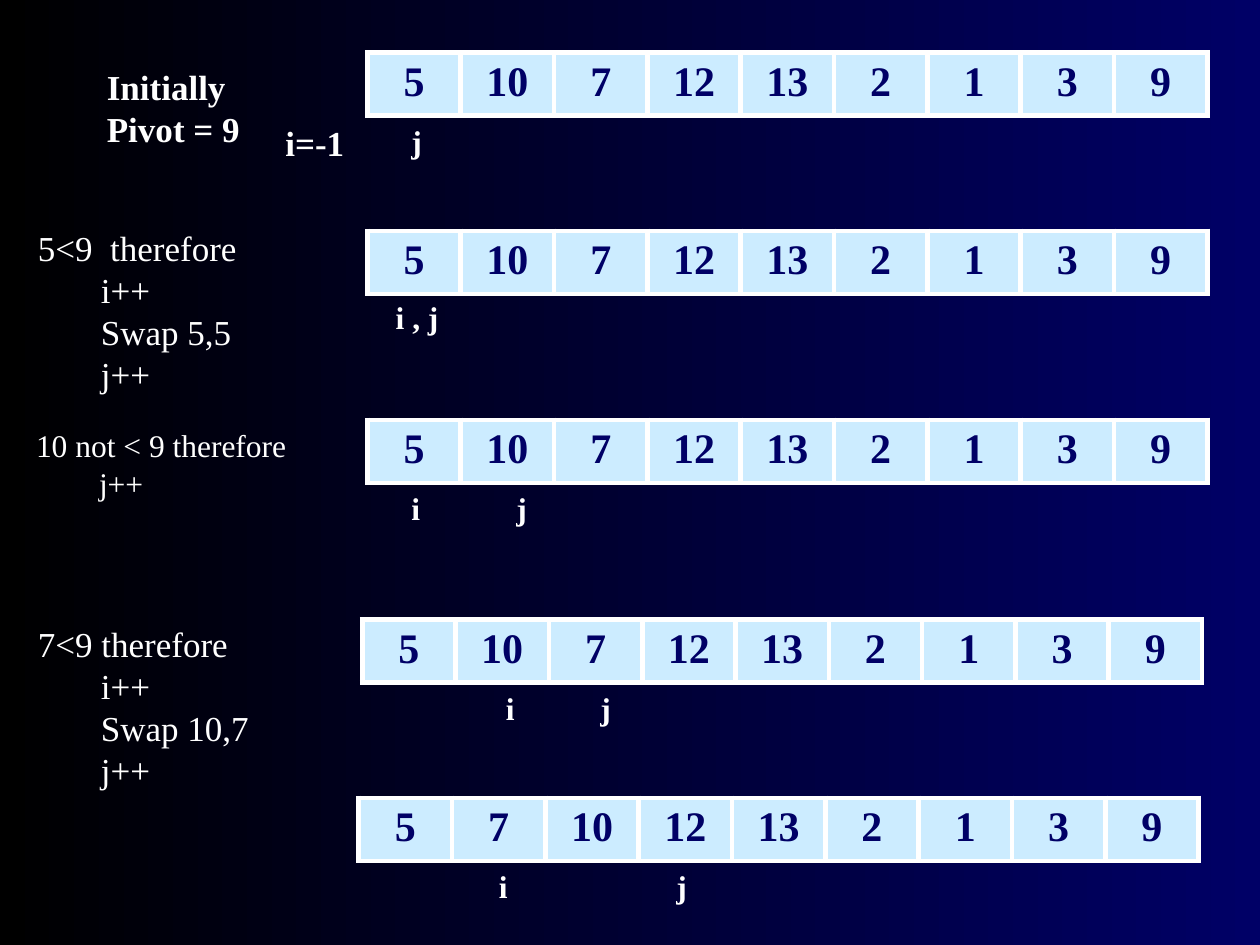
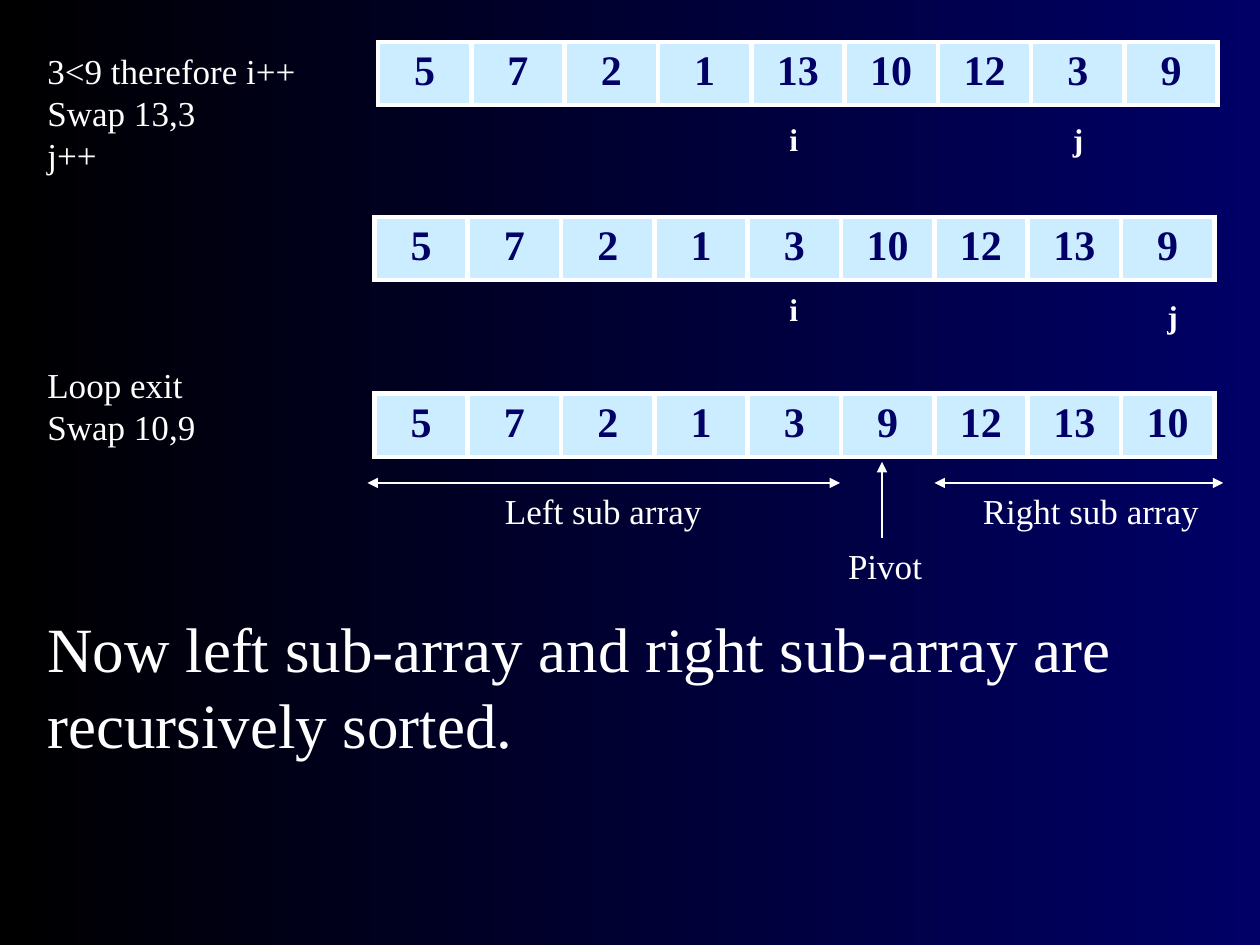
from lxml import etree
from pptx import Presentation
from pptx import util as u
from pptx.dml.color import RGBColor
from pptx.enum import shapes, text
from pptx.oxml import ns

Pt = u.Pt
COLORS = {"black": "000000", "navy": "000066", "ice": "CCECFF", "white": "FFFFFF"}
FONT = "Times New Roman"
ROW_W, ROW_H = 480, 36  # one array strip
START = [5, 10, 7, 12, 13, 2, 1, 3, 9]


def rgb(name):
    return RGBColor.from_string(COLORS[name])


def sub(parent, tag, **attrs):
    return etree.SubElement(parent, ns.qn(tag), attrs)


class Deck:
    def __init__(self, width, height):
        self.prs = Presentation()
        self.prs.slide_width, self.prs.slide_height = Pt(width), Pt(height)
        self.s = None

    def slide(self):
        self.s = self.prs.slides.add_slide(self.prs.slide_layouts[6])
        fill = self.s.background.fill
        fill.gradient()
        fill.gradient_angle = 0
        for stop, position, color in zip(fill.gradient_stops, (0, 1), ("black", "navy")):
            stop.position = position
            stop.color.rgb = rgb(color)

    def style(self, p, color="white", **formats):
        for key, value in {"name": FONT, **formats}.items():
            setattr(p.font, key, value)
        p.font.color.rgb = rgb(color)

    def text(self, x, y, w, h, lines, size=20, bold=False, wrap=False):
        sp = self.s.shapes.add_textbox(Pt(x), Pt(y), Pt(w), Pt(h))
        tf = sp.text_frame
        tf.word_wrap = wrap
        tf.auto_size = text.MSO_AUTO_SIZE.SHAPE_TO_FIT_TEXT
        tf.text = lines
        for p in tf.paragraphs:
            self.style(p, size=Pt(size), bold=bold)

    def marker(self, x, y, label, w=20):
        self.text(x, y, w, 29, label, size=18, bold=True)

    def array(self, x, y, values):
        table = self.s.shapes.add_table(
            1, len(values), Pt(x), Pt(y), Pt(ROW_W), Pt(ROW_H)).table
        table.first_row = table.horz_banding = False
        for column, cell, value in zip(table.columns, table.iter_cells(), values):
            column.width = Pt(ROW_W / len(values))
            cell.text = str(value)
            p = cell.text_frame.paragraphs[0]
            p.alignment = text.PP_ALIGN.CENTER
            self.style(p, "navy", size=Pt(24), bold=True)
            self.borders(cell)
            cell.fill.solid()
            cell.fill.fore_color.rgb = rgb("ice")

    def borders(self, cell):
        tc_pr = cell._tc.get_or_add_tcPr()
        for side in "LRTB":
            ln = sub(tc_pr, f"a:ln{side}", w=str(Pt(3)))
            sub(sub(ln, "a:solidFill"), "a:srgbClr", val=COLORS["white"])

    def arrow(self, x1, y1, x2, y2, ends=("tailEnd",)):
        c = self.s.shapes.add_connector(
            shapes.MSO_CONNECTOR.STRAIGHT, Pt(x1), Pt(y1), Pt(x2), Pt(y2))
        c.line.width = Pt(1.25)
        c.line.color.rgb = rgb("white")
        ln = c.line._get_or_add_ln()
        for end in ends:
            sub(ln, f"a:{end}", type="triangle")
        sub(c._element.spPr, "a:effectLst")


def first_steps(d):
    d.slide()
    # Arrays after each step
    for x, y in ((210, 30), (210, 132), (210, 240), (207, 354)):
        d.array(x, y, START)
    d.array(205, 456, [5, 7, 10, 12, 13, 2, 1, 3, 9])

    # Index markers
    d.marker(219, 167, "i , j", w=40)
    for x, y, label in ((228, 66, "j"),
                        (228, 276, "i"), (288, 276, "j"),
                        (282, 390, "i"), (336, 390, "j"),
                        (278, 492, "i"), (379.5, 492, "j")):
        d.marker(x, y, label)

    # Explanations
    d.text(54, 34, 91, 55, "Initially\nPivot = 9", bold=True)
    d.text(156, 66, 48, 32, "i=-1", bold=True)
    d.text(14.5, 126, 168, 104, "5<9  therefore\n\ti++\n\tSwap 5,5\n\tj++")
    d.text(13.5, 240, 159, 73, "10 not < 9 therefore\n\tj++", size=18)
    d.text(14.5, 352, 178, 104, "7<9 therefore\n\ti++\n\tSwap 10,7\n\tj++")


def last_steps(d):
    d.slide()
    # Arrays after each step
    d.array(216, 24, [5, 7, 2, 1, 13, 10, 12, 3, 9])
    d.array(214, 124, [5, 7, 2, 1, 3, 10, 12, 13, 9])
    d.array(214, 225, [5, 7, 2, 1, 3, 9, 12, 13, 10])

    # Index markers
    for x, y, label in ((444, 65, "i"), (606, 65, "j"),
                        (444, 162, "i"), (660, 166, "j")):
        d.marker(x, y, label)

    # Explanations
    d.text(20, 24.5, 157, 80, "3<9 therefore i++\nSwap 13,3\nj++")
    d.text(20, 204, 105, 55, "Loop exit\nSwap 10,9")

    # Partition spans and pivot
    for x1, x2 in ((210, 480), (534, 699)):
        d.arrow(x1, 276, x2, 276, ends=("headEnd", "tailEnd"))
    d.arrow(504, 307.5, 504, 264)
    d.text(281.5, 276, 127.5, 32, "Left sub array")
    d.text(554.5, 276, 139, 32, "Right sub array")
    d.text(477.5, 307.5, 57, 32, "Pivot")

    # Conclusion
    d.text(20, 345, 674, 94,
           "Now left sub-array and right sub-array are recursively sorted.",
           size=36, wrap=True)


def main():
    d = Deck(720, 540)
    first_steps(d)
    last_steps(d)
    d.prs.save("out.pptx")


if __name__ == "__main__":
    main()
